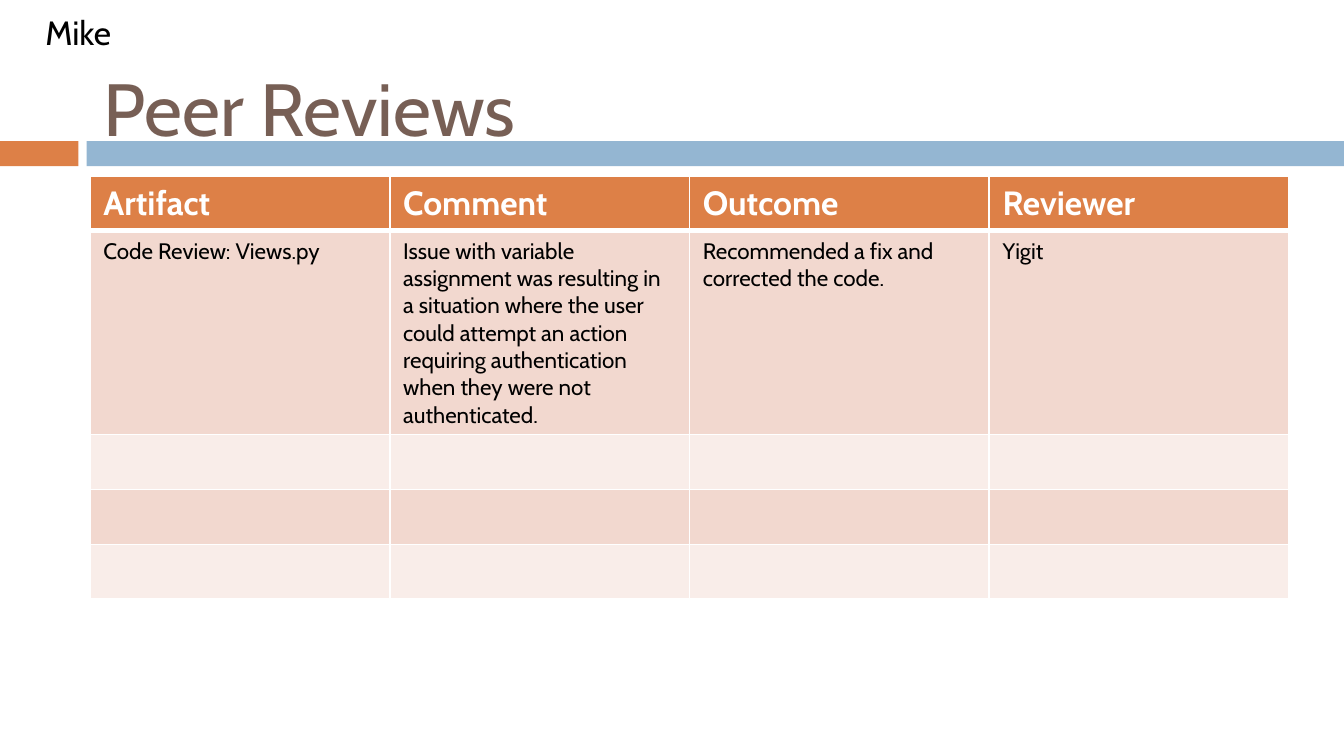
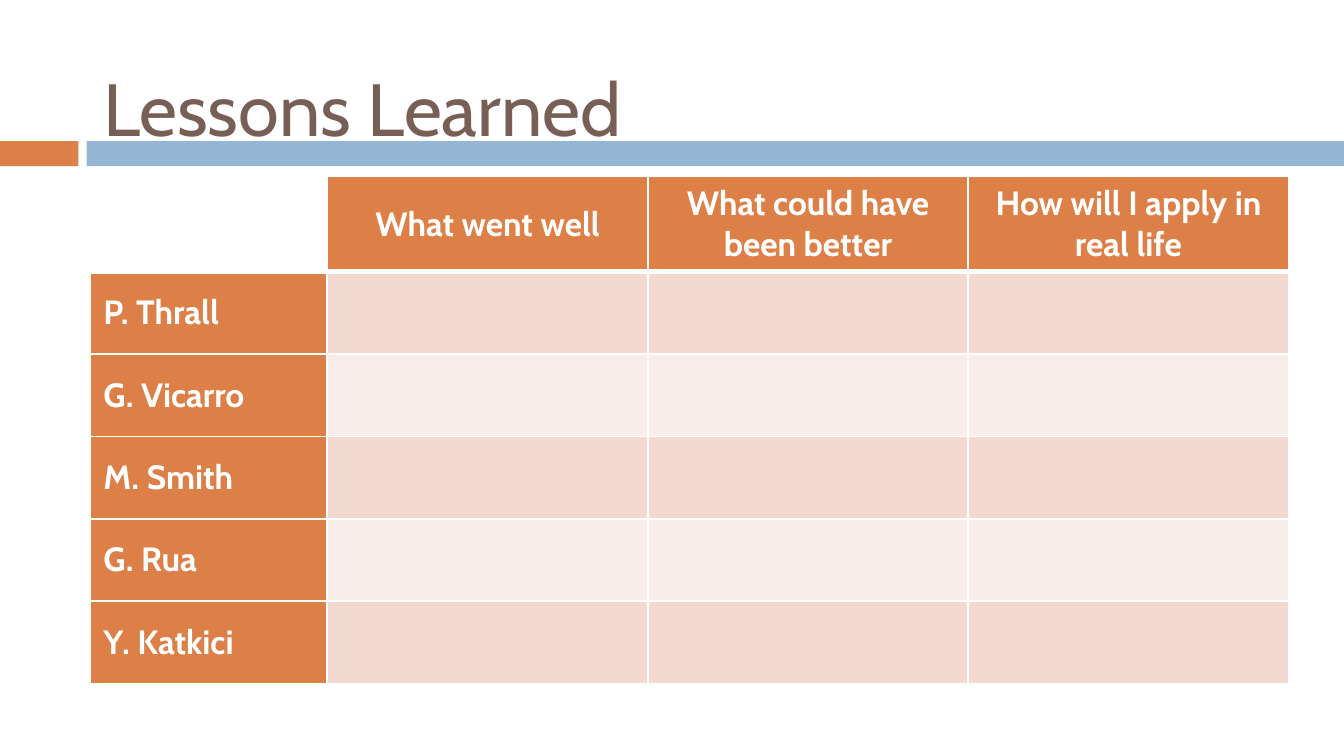
from collections import namedtuple

from lxml.etree import SubElement
from pptx import Presentation
from pptx.dml.color import RGBColor
from pptx.enum.shapes import MSO_SHAPE
from pptx.enum.text import MSO_ANCHOR, PP_ALIGN
from pptx.oxml.ns import qn
from pptx.util import Inches, Pt

COLORS = {
    "orange": "DD8047",
    "blue": "94B6D2",
    "brown": "775F55",
    "dark_row": "F2D8CF",
    "light_row": "F9EDE9",
    "white": "FFFFFF",
    "black": "000000",
}
FONT = "Cabin"
WIDTH = Inches(10)
HEIGHT = WIDTH * 9 // 16

Box = namedtuple("Box", "left top width height")
TableStyle = namedtuple("TableStyle", "size bold color align anchor")


def share(left, top, width, height):
    """Turn percentages of the slide's size into a box."""
    return Box(*(int(part * whole / 100) for part, whole in
                 zip((left, top, width, height), (WIDTH, HEIGHT) * 2)))


MARKER = share(0, 18.67, 5.83, 3.33)
BAND = share(6.45, 18.67, 93.55, 3.33)
TITLE = share(6.7, 6.94, 89.2, 14.4)
PRESENTER = share(2.4, 0.71, 12, 7.11)
REVIEWS = share(6.7, 23.33, 89.2, 55.95)
LESSONS = share(6.7, 23.33, 89.2, 67.1)


def rgb(name):
    return RGBColor.from_string(COLORS[name])


def write(frame, text, size, color, bold=False, align=PP_ALIGN.LEFT):
    para = frame.paragraphs[0]
    para.alignment = align
    span = para.add_run()
    span.text = text
    span.font.name = FONT
    span.font.size = Pt(size)
    span.font.bold = bold
    span.font.color.rgb = rgb(color)


def add_bar(page, box, color):
    bar = page.shapes.add_shape(MSO_SHAPE.RECTANGLE, *box)
    bar.shadow.inherit = False
    bar.fill.solid()
    bar.fill.fore_color.rgb = rgb(color)
    bar.line.fill.background()


def add_text(page, box, text, size, color, anchor=MSO_ANCHOR.TOP):
    frame = page.shapes.add_textbox(*box).text_frame
    frame.word_wrap = True
    frame.vertical_anchor = anchor
    write(frame, text, size, color)


def add_page(deck, title):
    """Add a slide with the shared band and title."""
    page = deck.slides.add_slide(deck.slide_layouts[6])
    add_bar(page, BAND, "blue")
    add_bar(page, MARKER, "orange")
    add_text(page, TITLE, title, 39.6, "brown", MSO_ANCHOR.MIDDLE)
    return page


def set_borders(cell, row):
    """Draw white cell borders, thicker between the header and the body."""
    widths = {"L": 1, "R": 1, "T": 3 if row == 1 else 1, "B": 3 if row == 0 else 1}
    properties = cell._tc.get_or_add_tcPr()
    for side, width in widths.items():
        line = SubElement(properties, qn(f"a:ln{side}"), w=str(Pt(width)))
        fill = SubElement(line, qn("a:solidFill"))
        SubElement(fill, qn("a:srgbClr"), val=COLORS["white"])


def fill_name(row, column, row_headers):
    if row_headers and row == column == 0:
        return "white"
    if row == 0 or (row_headers and column == 0):
        return "orange"
    return "dark_row" if row % 2 else "light_row"


def add_grid(page, box, column_weights, row_weights, texts, style_of, row_headers=False):
    """Fill the box with a table whose tracks follow the given weights."""
    table = page.shapes.add_table(len(row_weights), len(column_weights), *box).table
    for column, weight in zip(table.columns, column_weights):
        column.width = int(box.width * weight / sum(column_weights))
    for row, weight in zip(table.rows, row_weights):
        row.height = int(box.height * weight / sum(row_weights))
    for r in range(len(row_weights)):
        for c in range(len(column_weights)):
            cell = table.cell(r, c)
            set_borders(cell, r)
            cell.fill.solid()
            cell.fill.fore_color.rgb = rgb(fill_name(r, c, row_headers))
            text = texts.get((r, c))
            if text:
                style = style_of(r)
                cell.vertical_anchor = style.anchor
                write(cell.text_frame, text, style.size, style.color, style.bold, style.align)


def review_style(row):
    if row == 0:
        return TableStyle(18, True, "white", PP_ALIGN.LEFT, MSO_ANCHOR.TOP)
    return TableStyle(12, False, "black", PP_ALIGN.LEFT, MSO_ANCHOR.TOP)


def lesson_style(row):
    align = PP_ALIGN.LEFT if row else PP_ALIGN.CENTER
    return TableStyle(18, True, "white", align, MSO_ANCHOR.MIDDLE)


def build_reviews(deck):
    page = add_page(deck, "Peer Reviews")
    lines = [
        ("Artifact", "Comment", "Outcome", "Reviewer"),
        ("Code Review: Views.py",
         "Issue with variable assignment was resulting in a situation where the user "
         "could attempt an action requiring authentication when they were not "
         "authenticated.",
         "Recommended a fix and corrected the code.",
         "Yigit"),
    ]
    texts = {(r, c): text for r, line in enumerate(lines) for c, text in enumerate(line)}
    add_grid(page, REVIEWS, [1] * 4, [40.5, 152.5] + [41] * 3, texts, review_style)
    add_text(page, PRESENTER, "Mike", 18, "black")


def build_lessons(deck):
    page = add_page(deck, "Lessons Learned")
    questions = ["What went well", "What could have been better", "How will I apply in real life"]
    members = ["P. Thrall", "G. Vicarro", "M. Smith", "G. Rua", "Y. Katkici"]
    texts = {(0, c): text for c, text in enumerate(questions, 1)}
    texts.update({(r, 0): text for r, text in enumerate(members, 1)})
    add_grid(page, LESSONS, [176.5] + [238.5] * 3, [71] + [61.3] * 5, texts,
             lesson_style, row_headers=True)


def main():
    deck = Presentation()
    deck.slide_width, deck.slide_height = WIDTH, HEIGHT
    build_reviews(deck)
    build_lessons(deck)
    deck.save("out.pptx")


if __name__ == "__main__":
    main()
